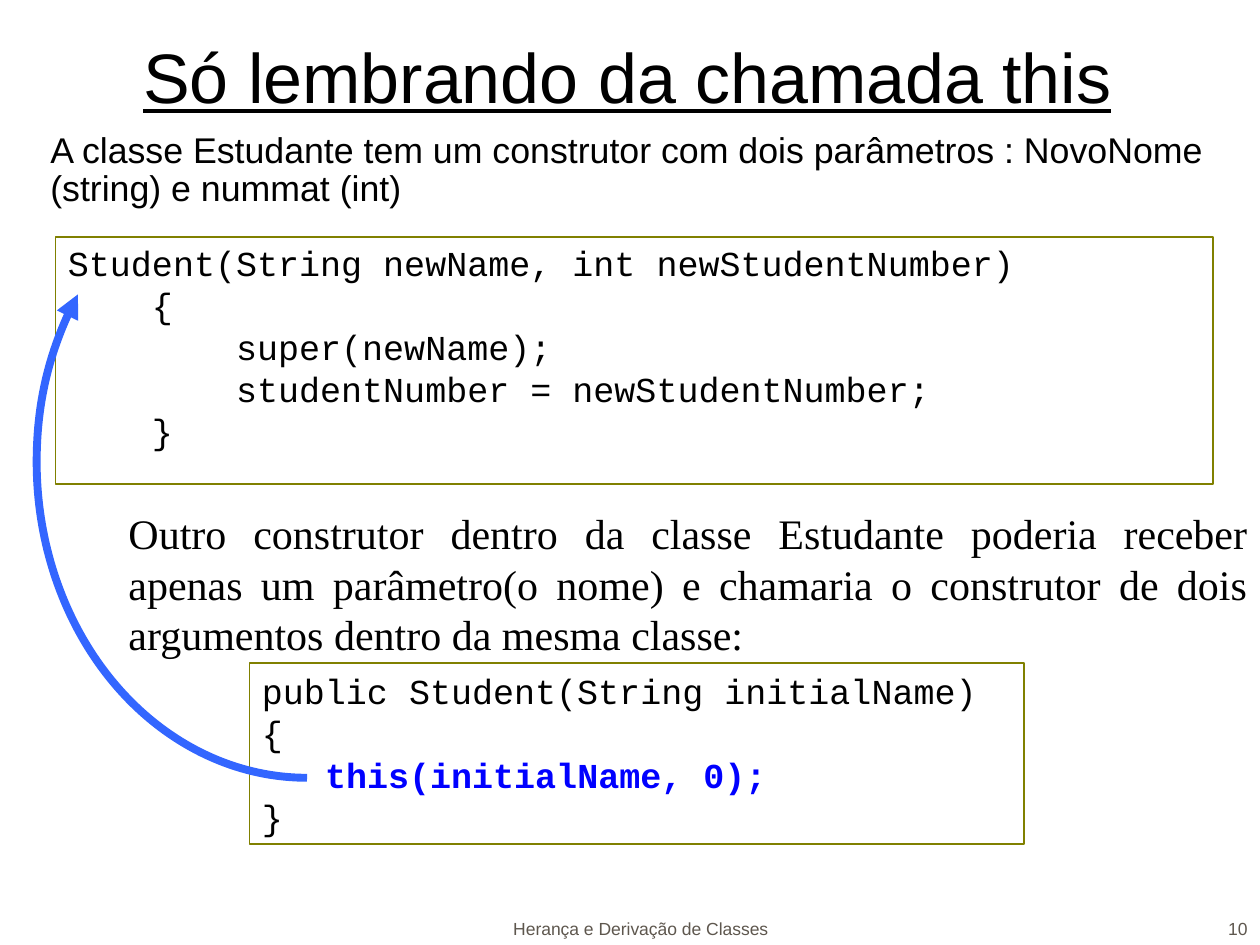
from lxml.etree import SubElement
from pptx import Presentation
from pptx.dml.color import RGBColor
from pptx.enum.shapes import MSO_SHAPE
from pptx.enum.text import MSO_ANCHOR, MSO_AUTO_SIZE, PP_ALIGN
from pptx.oxml.ns import qn
from pptx.util import Cm, Pt

BLACK, OLIVE, GREY = "000000", "808000", "5E574E"
BLUE, CALL_BLUE, WHITE = "3366FF", "0000FF", "FFFFFF"


def color(hex_text):
    """Turn a hex string into a colour."""
    return RGBColor.from_string(hex_text)


def place(shape, box):
    """Move a shape to a box of left, top, width and height in centimetres."""
    shape.left, shape.top, shape.width, shape.height = (Cm(value) for value in box)


def style(paragraph, font_name, size, hex_text=BLACK, alignment=PP_ALIGN.LEFT):
    """Format a whole paragraph."""
    paragraph.alignment = alignment
    paragraph.space_before = Pt(0)
    paragraph.font.name = font_name
    paragraph.font.size = Pt(size)
    paragraph.font.color.rgb = color(hex_text)


def prepare_frame(shape, anchor, wrap=True):
    """Set the anchor and wrapping of a shape's text and return its frame."""
    frame = shape.text_frame
    frame.auto_size = MSO_AUTO_SIZE.NONE
    frame.word_wrap = wrap
    frame.vertical_anchor = anchor
    return frame


def fill_title(slide, box, text):
    """Place the underlined title."""
    title = slide.shapes.title
    place(title, box)
    frame = prepare_frame(title, MSO_ANCHOR.BOTTOM)
    frame.text = text
    paragraph = frame.paragraphs[0]
    style(paragraph, "Arial", 40, alignment=PP_ALIGN.CENTER)
    paragraph.font.underline = True


def fill_body(slide, box, text):
    """Place the introduction in the body placeholder, without a bullet."""
    body = slide.placeholders[1]
    place(body, box)
    frame = prepare_frame(body, MSO_ANCHOR.TOP)
    frame.text = text
    paragraph = frame.paragraphs[0]
    properties = paragraph._p.get_or_add_pPr()
    properties.set("marL", str(Cm(0.96)))
    properties.set("indent", "0")
    SubElement(properties, qn("a:buNone"))
    style(paragraph, "Arial", 20.4)
    paragraph.line_spacing = 0.9


def add_code(slide, box, lines, top_inset, highlight=None):
    """Add a framed listing, with one statement optionally highlighted."""
    shape = slide.shapes.add_shape(MSO_SHAPE.RECTANGLE, 0, 0, 0, 0)
    place(shape, box)
    shape.shadow.inherit = False
    shape.fill.solid()
    shape.fill.fore_color.rgb = color(WHITE)
    shape.line.color.rgb = color(OLIVE)
    shape.line.width = Pt(1)
    frame = prepare_frame(shape, MSO_ANCHOR.TOP, wrap=False)
    frame.margin_top = Cm(top_inset)
    for index, line in enumerate(lines):
        paragraph = frame.add_paragraph() if index else frame.paragraphs[0]
        style(paragraph, "Courier New", 20)
        if highlight and highlight in line:
            paragraph.add_run().text = line.replace(highlight, "")
            run = paragraph.add_run()
            run.text = highlight
            run.font.bold = True
            run.font.color.rgb = color(CALL_BLUE)
        else:
            paragraph.add_run().text = line


def add_text(slide, box, text, font_name, size, hex_text, alignment, anchor):
    """Add a text box with one paragraph."""
    shape = slide.shapes.add_textbox(0, 0, 0, 0)
    place(shape, box)
    frame = prepare_frame(shape, anchor)
    frame.text = text
    style(frame.paragraphs[0], font_name, size, hex_text, alignment)


def add_call_arrow(slide, box, start_degrees, end_degrees):
    """Add a curved arrow along part of the ellipse in the box."""
    arc = slide.shapes.add_shape(MSO_SHAPE.ARC, 0, 0, 0, 0)
    place(arc, box)
    arc.shadow.inherit = False
    arc.fill.background()
    arc.adjustments[0] = start_degrees * 0.6
    arc.adjustments[1] = end_degrees * 0.6
    arc.line.color.rgb = color(BLUE)
    arc.line.width = Pt(4.5)
    SubElement(arc.line._get_or_add_ln(), qn("a:tailEnd"), type="triangle")


def add_footer(slide, box, text, number):
    """Add the footer text and the slide number at the right of the box."""
    left, top, width, height = box
    number_width = 5.28
    number_box = (left + width - number_width, top, number_width, height)
    parts = (
        ((left, top, 8.05, height), text, PP_ALIGN.CENTER),
        (number_box, number, PP_ALIGN.RIGHT),
    )
    for part_box, content, alignment in parts:
        add_text(slide, part_box, content, "Arial", 10, GREY, alignment, MSO_ANCHOR.BOTTOM)


def main():
    """Build and save the presentation."""
    presentation = Presentation()
    presentation.slide_width, presentation.slide_height = Cm(25.4), Cm(19.05)
    slide = presentation.slides.add_slide(presentation.slide_layouts[1])
    fill_title(slide, (1.85, 0.64, 21.59, 1.85), "Só lembrando da chamada this")
    fill_body(
        slide,
        (-0.2, 2.54, 25.6, 2.06),
        "A classe Estudante tem um construtor com dois parâmetros : "
        "NovoNome (string) e nummat (int)",
    )
    two_argument_constructor = (
        "Student(String newName, int newStudentNumber)",
        "    {",
        "        super(newName);",
        "        studentNumber = newStudentNumber;",
        "    }",
    )
    add_code(slide, (1.12, 4.78, 23.34, 4.98), two_argument_constructor, 0.09)
    one_argument_constructor = (
        "public Student(String initialName)",
        "{",
        "   this(initialName, 0);",
        "}",
    )
    add_code(
        slide, (5.03, 13.36, 15.62, 3.66), one_argument_constructor, 0.13,
        highlight="this(initialName, 0);",
    )
    add_call_arrow(slide, (0.74, 2.95, 10.9, 12.73), 90, 216.2)
    add_text(
        slide,
        (2.34, 10.11, 23.06, 3.3),
        "Outro construtor dentro da classe Estudante poderia receber apenas um "
        "parâmetro(o nome) e chamaria o construtor de dois argumentos dentro da "
        "mesma classe:",
        "Times New Roman", 24, BLACK, PP_ALIGN.JUSTIFY, MSO_ANCHOR.TOP,
    )
    add_footer(slide, (8.89, 17.78, 16.51, 1.27), "Herança e Derivação de Classes", "10")
    presentation.save("out.pptx")


if __name__ == "__main__":
    main()
